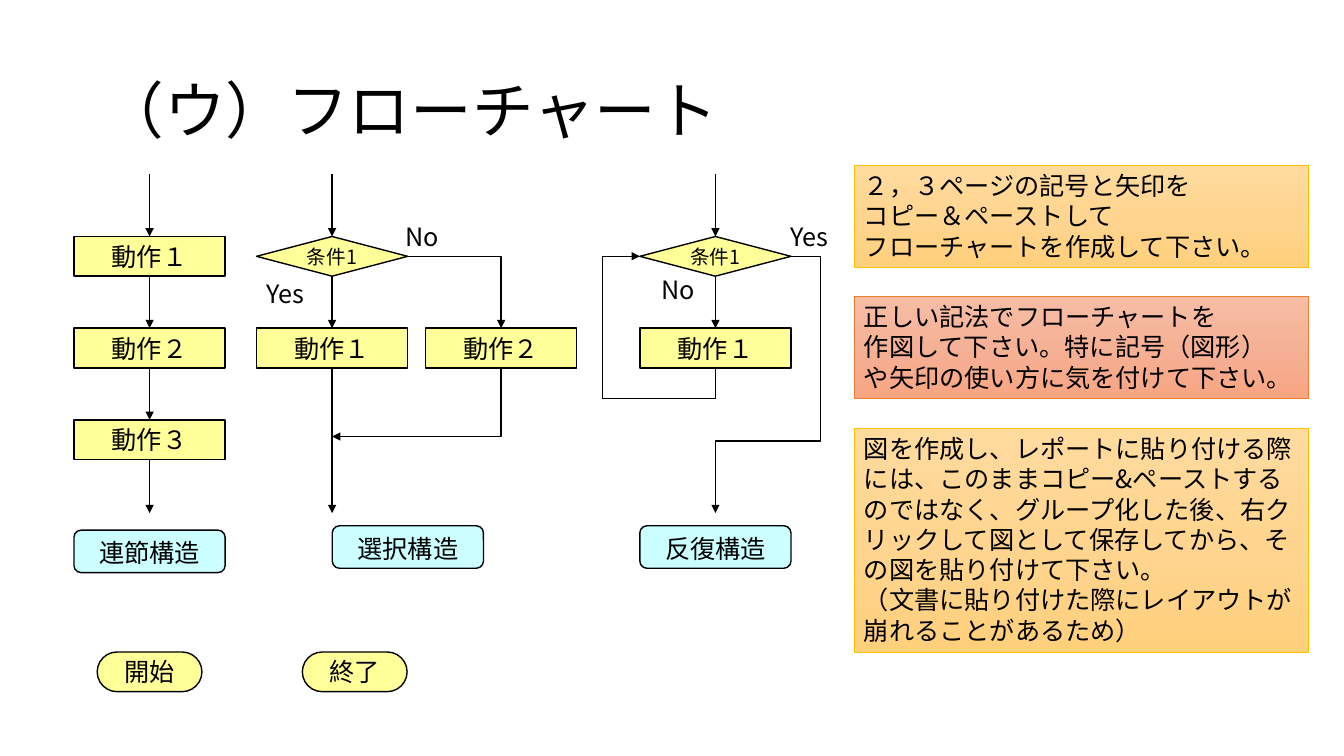
from copy import deepcopy

from pptx import Presentation
from pptx import util as u
from pptx.dml.color import RGBColor
from pptx.enum import shapes, text
from pptx.oxml.ns import qn
from lxml import etree

BLACK = RGBColor(0x00, 0x00, 0x00)
YELLOW = RGBColor(0xFF, 0xFF, 0x99)
CYAN = RGBColor(0xCC, 0xFF, 0xFF)
GOLD = RGBColor(0xFF, 0xC0, 0x00)
ORANGE = RGBColor(0xED, 0x7D, 0x31)
GOLDS = [RGBColor(0xFF, 0xDB, 0x9E), RGBColor(0xFF, 0xD5, 0x90), RGBColor(0xFF, 0xD0, 0x7C)]
REDS = [RGBColor(0xF7, 0xBD, 0xA5), RGBColor(0xF5, 0xB1, 0x96), RGBColor(0xF8, 0xA5, 0x82)]
FONT = "Noto Sans CJK JP"
KIND = shapes.MSO_SHAPE
LEFT, MID = text.PP_ALIGN.LEFT, text.PP_ALIGN.CENTER

WIDE, HIGH = 3.81, 1
HALF = WIDE / 2
ROWS = [5.96 + 2.31 * i for i in range(3)]
SEQ, COND, ELSE, LOOP = 3.77, 8.37, 12.63, 18.03
TOP, END = 4.39, 12.93
SIDE = ROWS[0] + HIGH / 2


def write(frame, words, size=18, align=LEFT):
    frame.word_wrap = True
    frame.text = words
    for para in frame.paragraphs:
        para.alignment = align
        font = para.font
        font.size, font.name = u.Pt(size), FONT
        font.color.rgb = BLACK
        etree.SubElement(font._rPr, qn("a:ea"), typeface=FONT)


def shape(slide, kind, box, edge=BLACK, width=1):
    item = slide.shapes.add_shape(kind, *map(u.Cm, box))
    item.shadow.inherit = False
    item.line.color.rgb = edge
    item.line.width = u.Pt(width)
    return item


def node(slide, kind, mid, top, words, size=18, wide=WIDE, high=HIGH,
         fill=YELLOW, anchor=text.MSO_ANCHOR.MIDDLE):
    item = shape(slide, kind, (mid - wide / 2, top, wide, high))
    item.fill.solid()
    item.fill.fore_color.rgb = fill
    item.text_frame.vertical_anchor = anchor
    write(item.text_frame, words, size, MID)
    return item


def action(slide, mid, row, words):
    node(slide, KIND.FLOWCHART_PROCESS, mid, ROWS[row], words)


def test(slide, mid):
    node(slide, KIND.DIAMOND, mid, ROWS[0], "条件1", 14)


def title(slide, mid, top, words):
    node(slide, KIND.ROUNDED_RECTANGLE, mid, top, words, high=1.07,
         fill=CYAN, anchor=text.MSO_ANCHOR.TOP)


def pill(slide, mid, words):
    item = node(slide, KIND.ROUNDED_RECTANGLE, mid, 16.43, words, wide=2.64)
    item.adjustments[0] = 0.5


def label(slide, left, top, wide, words):
    item = slide.shapes.add_textbox(*map(u.Cm, (left, top, wide, 1.02)))
    write(item.text_frame, words)
    item.text_frame.auto_size = text.MSO_AUTO_SIZE.SHAPE_TO_FIT_TEXT


def note(slide, top, high, words, tones, edge):
    item = shape(slide, KIND.RECTANGLE, (21.52, top, 11.45, high), edge, 0.5)
    item.fill.gradient()
    item.fill.gradient_angle = 270
    first = item.fill.gradient_stops[0]._gs
    first.addnext(deepcopy(first))
    for i, (stop, tone) in enumerate(zip(item.fill.gradient_stops, tones)):
        stop.position = i / 2
        stop.color.rgb = tone
    item.text_frame.vertical_anchor = text.MSO_ANCHOR.TOP
    write(item.text_frame, words)
    item.text_frame.auto_size = text.MSO_AUTO_SIZE.SHAPE_TO_FIT_TEXT


def wire(slide, kind, start, stop, head=True):
    item = slide.shapes.add_connector(kind, *map(u.Cm, start + stop))
    item.line.color.rgb = BLACK
    item.line.width = u.Pt(1)
    if head:
        etree.SubElement(item.line._get_or_add_ln(), qn("a:tailEnd"), type="triangle")
    etree.SubElement(item._element.spPr, qn("a:effectLst"))
    return item


def line(slide, start, stop, head=True):
    wire(slide, shapes.MSO_CONNECTOR.STRAIGHT, start, stop, head)


def down(slide, mid, top, end):
    line(slide, (mid, top), (mid, end))


def bend(slide, start, stop, head=True, turn=True, ratio=None):
    (x1, y1), (x2, y2) = start, stop
    dx, dy = x2 - x1, y2 - y1
    wide, high = abs(dx), abs(dy)
    if turn:
        wide, high = high, wide
    left, top = (x1 + x2 - wide) / 2, (y1 + y2 - high) / 2
    item = wire(slide, shapes.MSO_CONNECTOR.ELBOW, (left, top),
                (left + wide, top + high), head)
    props = item._element.spPr
    if turn:
        frame = props.find(qn("a:xfrm"))
        frame.set("rot", "5400000")
        if dy < 0:
            frame.set("flipH", "1")
        if dx > 0:
            frame.set("flipV", "1")
    geom = props.find(qn("a:prstGeom"))
    if ratio is None:
        geom.set("prst", "bentConnector2")
    else:
        etree.SubElement(geom.find(qn("a:avLst")), qn("a:gd"), name="adj1",
                         fmla=f"val {round(ratio * 100000)}")


def chain(slide):
    tops = [TOP] + [row + HIGH for row in ROWS]
    for top, end in zip(tops, ROWS + [END]):
        down(slide, SEQ, top, end)
    for row, words in enumerate(("動作１", "動作２", "動作３")):
        action(slide, SEQ, row, words)
    title(slide, SEQ, 13.36, "連節構造")


def choice(slide):
    test(slide, COND)
    action(slide, COND, 1, "動作１")
    action(slide, ELSE, 1, "動作２")
    down(slide, COND, TOP, ROWS[0])
    down(slide, COND, ROWS[0] + HIGH, ROWS[1])
    down(slide, COND, ROWS[1] + HIGH, END)
    bend(slide, (COND + HALF, SIDE), (ELSE, ROWS[1]), turn=False)
    bend(slide, (ELSE, ROWS[1] + HIGH), (COND, 11))
    label(slide, 6.46, 6.88, 1.91, "Yes")
    label(slide, 9.96, 5.46, 2.69, "No")
    title(slide, 10.28, 13.25, "選択構造")


def loop(slide):
    back, out = 15.19, 20.68
    test(slide, LOOP)
    action(slide, LOOP, 1, "動作１")
    down(slide, LOOP, TOP, ROWS[0])
    down(slide, LOOP, ROWS[0] + HIGH, ROWS[1])
    bend(slide, (LOOP, ROWS[1] + HIGH), (back, 10.05), head=False)
    bend(slide, (back, 10.05), (LOOP - HALF, SIDE))
    line(slide, (LOOP + HALF, SIDE), (out, SIDE), head=False)
    bend(slide, (out, SIDE), (LOOP, END), ratio=0.72)
    label(slide, 19.66, 5.46, 1.91, "Yes")
    label(slide, 16.41, 6.78, 2.69, "No")
    title(slide, LOOP, 13.25, "反復構造")


def main():
    deck = Presentation()
    deck.slide_width, deck.slide_height = u.Cm(33.87), u.Cm(19.05)
    slide = deck.slides.add_slide(deck.slide_layouts[5])
    head = slide.shapes.title
    head.left, head.top, head.width, head.height = map(u.Cm, (2.33, 1.01, 29.21, 3.68))
    write(head.text_frame, "（ウ）フローチャート", 44)
    head.text_frame.vertical_anchor = text.MSO_ANCHOR.MIDDLE
    head.text_frame.paragraphs[0].line_spacing = 0.9
    chain(slide)
    choice(slide)
    loop(slide)
    pill(slide, 3.77, "開始")
    pill(slide, 8.94, "終了")
    note(slide, 4.17, 2.57, "２，３ページの記号と矢印を\vコピー＆ペーストして\n"
         "フローチャートを作成して下さい。", GOLDS, GOLD)
    note(slide, 7.47, 2.57, "正しい記法でフローチャートを\n作図して下さい。特に記号（図形）\n"
         "や矢印の使い方に気を付けて下さい。", REDS, ORANGE)
    note(slide, 10.8, 5.64, "図を作成し、レポートに貼り付ける際には、このままコピー&ペースト"
         "するのではなく、グループ化した後、右クリックして図として保存してから、"
         "その図を貼り付けて下さい。\n（文書に貼り付けた際にレイアウトが崩れることがあるため）",
         GOLDS, GOLD)
    deck.save("out.pptx")


if __name__ == "__main__":
    main()
